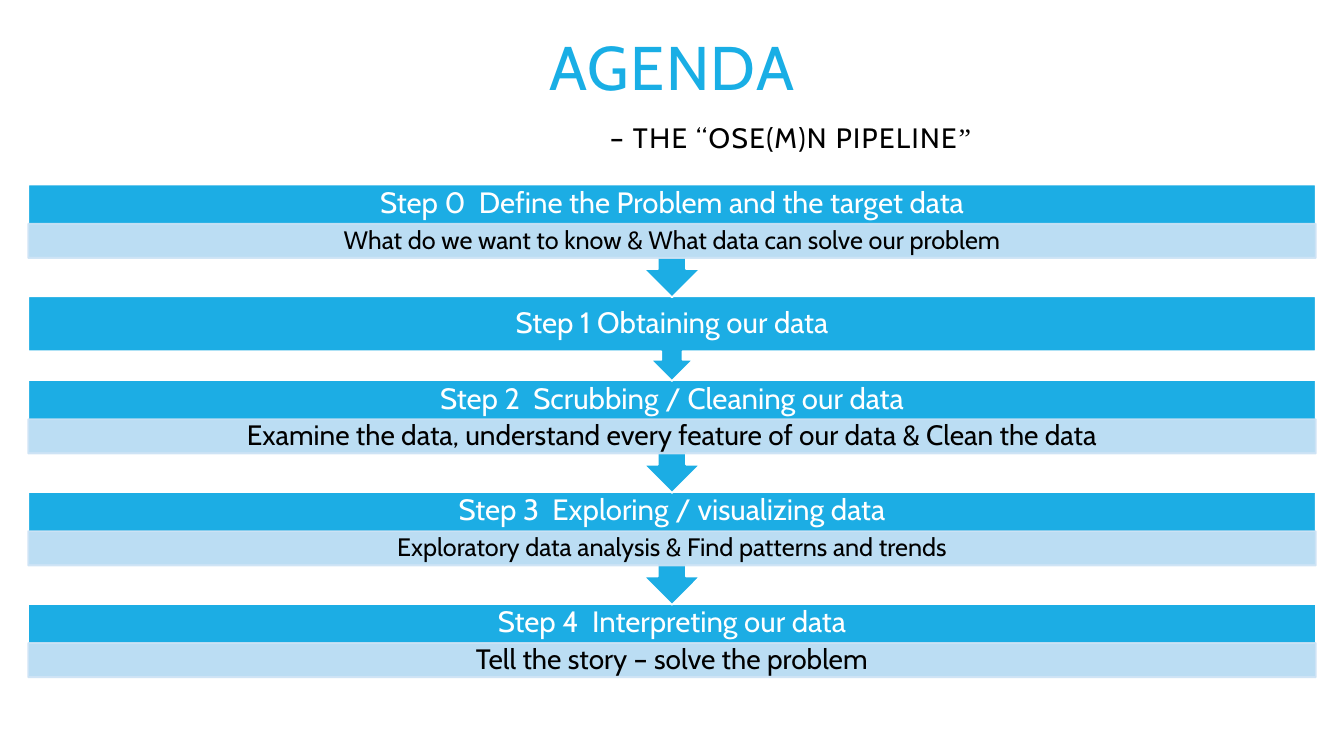
from lxml import etree
from pptx import Presentation
from pptx.dml.color import RGBColor
from pptx.enum.shapes import MSO_SHAPE
from pptx.enum.text import MSO_ANCHOR, MSO_AUTO_SIZE, PP_ALIGN
from pptx.oxml.ns import qn
from pptx.util import Inches, Pt

RECTANGLE, CALLOUT = MSO_SHAPE.RECTANGLE, MSO_SHAPE.DOWN_ARROW_CALLOUT
MIDDLE, CENTER, NO_FIT = MSO_ANCHOR.MIDDLE, PP_ALIGN.CENTER, MSO_AUTO_SIZE.NONE

HEADING = "AGENDA"
SUBHEADING = [("– THE “OSE(M)N PIPELINE", "Cabin"), ("”", "Times New Roman")]
# heading, detail, detail size in points
STEPS = [
    ("Step 0  Define the Problem and the target data",
     "What do we want to know & What data can solve our problem", 18),
    ("Step 1 Obtaining our data", None, None),
    ("Step 2  Scrubbing / Cleaning our data",
     "Examine the data, understand every feature of our data & Clean the data", 20),
    ("Step 3  Exploring / visualizing data",
     "Exploratory data analysis & Find patterns and trends", 18),
    ("Step 4  Interpreting our data", "Tell the story – solve the problem", 20),
]
COLORS = {"title": "19AEE5", "step": "1CADE4", "detail": "CDE3F5",
          "white": "FFFFFF", "black": "000000"}

LEFT, WIDTH, FIRST_TOP = 0.28, 12.77, 1.83
DETAIL_OFFSET, DETAIL_HEIGHT = 0.39, 0.34
CALLOUT_HEIGHT, PLAIN_CALLOUT_HEIGHT, LAST_HEIGHT = 1.12, 0.84, 0.73
OVERLAP = 0.01


def color(name):
    return RGBColor.from_string(COLORS[name])


def style_font(font, size, color_name, face="Cabin"):
    font.name, font.size = face, Pt(size)
    font.color.rgb = color(color_name)


def add_band(slide, kind, top, height, text, size, fill, line, ink, bottom=0):
    band = slide.shapes.add_shape(kind, Inches(LEFT), Inches(top),
                                  Inches(WIDTH), Inches(height))
    band.shadow.inherit = False
    band.fill.solid()
    band.fill.fore_color.rgb = color(fill)
    band.line.color.rgb = color(line)
    band.line.width = Pt(1.25)
    frame = band.text_frame
    frame.word_wrap = True
    frame.vertical_anchor = MIDDLE
    frame.margin_top, frame.margin_bottom = 0, Inches(bottom)
    paragraph = frame.paragraphs[0]
    paragraph.text = text
    paragraph.alignment = CENTER
    paragraph.line_spacing = 0.9
    style_font(paragraph.font, size, ink)
    return band


def make_translucent(band, percent):
    for rgb in band.fill._xPr.iter(qn("a:srgbClr")):
        etree.SubElement(rgb, qn("a:alpha"), val=str(percent * 1000))


def add_title(slide):
    title = slide.shapes.title
    title.left, title.top = Inches(1.35), Inches(0.19)
    title.width, title.height = Inches(10.63), Inches(1.64)
    frame = title.text_frame
    frame.auto_size = NO_FIT
    frame.word_wrap = True
    frame.vertical_anchor = MIDDLE
    frame.margin_bottom = Inches(0.12)

    heading = frame.paragraphs[0]
    heading.line_spacing = 0.8
    heading_run = heading.add_run()
    heading_run.text = HEADING
    style_font(heading.font, 44, "title")
    style_font(heading_run.font, 44, "title")

    subheading = frame.add_paragraph()
    subheading.line_spacing = Pt(37)
    subheading.space_before = Pt(0)
    properties = subheading._p.get_or_add_pPr()
    properties.set("marL", str(Inches(2.35)))
    properties.set("indent", "0")
    for text, face in SUBHEADING:
        run = subheading.add_run()
        run.text = text
        style_font(run.font, 20, "black", face)
    for paragraph in frame.paragraphs:
        paragraph.alignment = CENTER
        for run in paragraph.runs:
            run.font._element.set("spc", "100")


def add_steps(slide):
    placed, top = [], FIRST_TOP
    for number, (heading, detail, size) in enumerate(STEPS):
        is_last = number == len(STEPS) - 1
        height = (LAST_HEIGHT if is_last else
                  CALLOUT_HEIGHT if detail else PLAIN_CALLOUT_HEIGHT)
        kind = RECTANGLE if is_last else CALLOUT
        placed.append((kind, top, height, heading, detail, size))
        top += height - OVERLAP
    # Each arrow tip lies over the step below it, so draw upwards.
    for kind, top, height, heading, detail, size in reversed(placed):
        add_band(slide, kind, top, height, heading, 21, "step", "white", "white",
                 bottom=DETAIL_HEIGHT if detail else 0)
        if detail:
            band = add_band(slide, RECTANGLE, top + DETAIL_OFFSET, DETAIL_HEIGHT,
                            detail, size, "detail", "detail", "black")
            make_translucent(band, 90)


def main():
    deck = Presentation()
    deck.slide_width, deck.slide_height = Inches(13.33), Inches(7.5)
    slide = deck.slides.add_slide(deck.slide_layouts[5])
    add_title(slide)
    add_steps(slide)
    deck.save("out.pptx")


if __name__ == "__main__":
    main()
